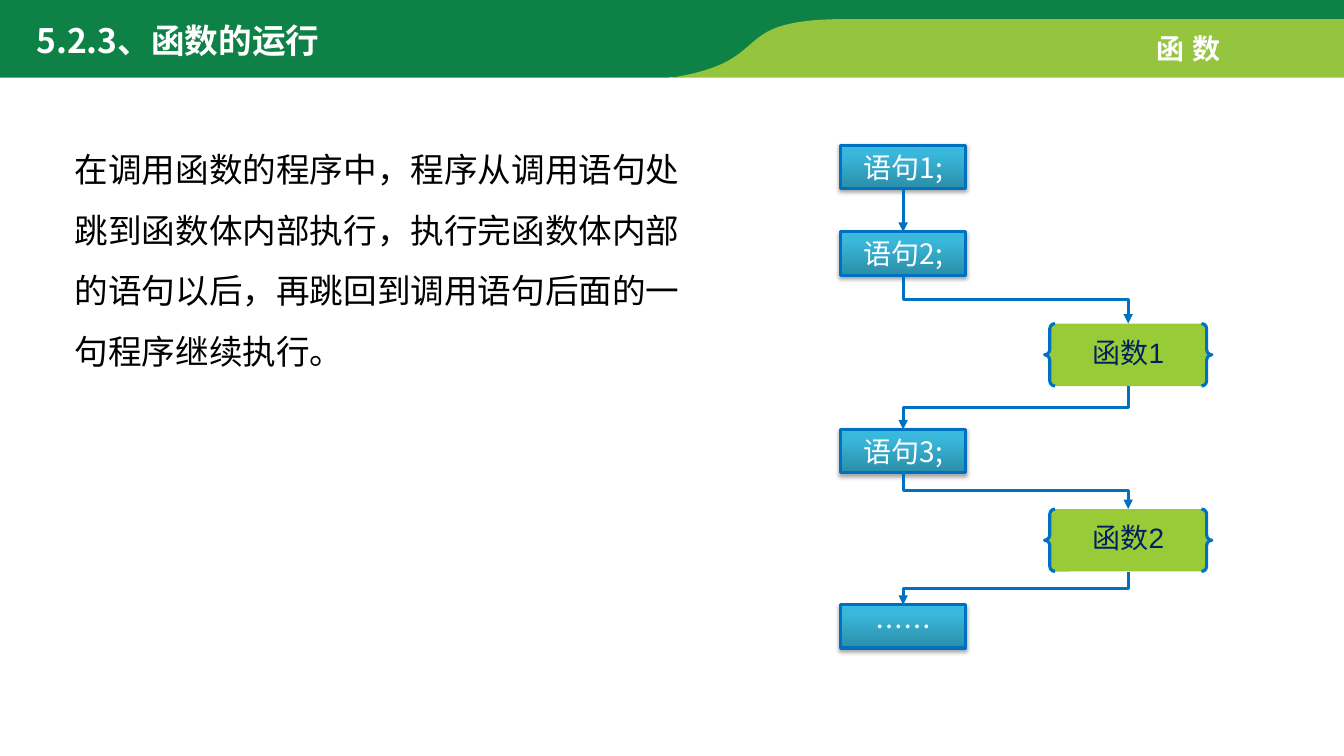
from itertools import pairwise

from lxml import etree
from pptx import Presentation
from pptx import util as u
from pptx.dml.color import RGBColor
from pptx.enum import dml, shapes, text
from pptx.oxml import parse_xml
from pptx.oxml.ns import nsdecls, qn

W, H = u.Inches(13.33), u.Inches(7.5)
SANS = "Noto Sans CJK SC"
COLORS = {
    "dark": "0E8146", "light": "95C53E", "white": "FFFFFF", "black": "000000",
    "blue": "0070C0", "navy": "002060", "lime": "99CB38",
}
GRADIENT = {0: "2C8EA9", 80: "39B8DB", 100: "36BBDF"}
STATEMENT_X, STATEMENT_W, STATEMENT_H = 62.55, 9.3, 5.73
FUNCTION_X, FUNCTION_W, FUNCTION_H = 77.72, 12.45, 8.27


def x(share):
    return u.Emu(round(W * share / 100))


def y(share):
    return u.Emu(round(H * share / 100))


def box(left, top, width, height):
    return x(left), y(top), x(width), y(height)


def rgb(name):
    return RGBColor.from_string(COLORS[name])


def write(sp, words, size=20, font=SANS, color="white", bold=False, align="LEFT",
          anchor="TOP", wrap=True, line_spacing=None, tracking=None):
    tf = sp.text_frame
    tf.word_wrap = wrap
    tf.auto_size = text.MSO_AUTO_SIZE.NONE
    tf.vertical_anchor = text.MSO_ANCHOR[anchor]
    p = tf.paragraphs[0]
    p.alignment = text.PP_ALIGN[align]
    p.space_before = u.Pt(0)
    if line_spacing:
        p.line_spacing = line_spacing
    r = p.add_run()
    r.text = words
    r.font.size, r.font.bold, r.font.name = u.Pt(size), bold, font
    r.font.color.rgb = rgb(color)
    rPr = r.font._element
    etree.SubElement(rPr, qn("a:ea"), typeface=SANS)
    if tracking:
        rPr.set("spc", str(tracking * 100))


def place(sp, left, top, width, height):
    sp.left, sp.top, sp.width, sp.height = box(left, top, width, height)


def remove_bullet(p):
    pPr = p._p.get_or_add_pPr()
    pPr.set("marL", "0")
    pPr.set("indent", "0")
    etree.SubElement(pPr, qn("a:buNone"))


def curve(a, b, c, d, steps=40):
    ts = [i / steps for i in range(steps + 1)]
    return [tuple((1 - t) ** 3 * i + 3 * (1 - t) ** 2 * t * j
                  + 3 * (1 - t) * t ** 2 * k + t ** 3 * m
                  for i, j, k, m in zip(a, b, c, d)) for t in ts]


def add_band(s, points, color):
    start, *rest = [(x(px), y(py)) for px, py in points]
    builder = s.shapes.build_freeform(*start)
    builder.add_line_segments(rest, close=True)
    sp = builder.convert_to_shape()
    sp.shadow.inherit = False
    sp.fill.solid()
    sp.fill.fore_color.rgb = rgb(color)
    sp.line.fill.background()
    s.shapes.title._element.addprevious(sp._element)


def add_node(s, kind, *bounds):
    sp = s.shapes.add_shape(kind, *box(*bounds))
    sp.shadow.inherit = False
    sp.line.color.rgb = rgb("blue")
    sp.line.width = u.Pt(2.25)
    return sp


def add_statement(s, words, top):
    sp = add_node(s, shapes.MSO_SHAPE.RECTANGLE,
                  STATEMENT_X, top, STATEMENT_W, STATEMENT_H)
    sp.fill.gradient()
    sp.fill.gradient_angle = 90
    spPr = sp._element.spPr
    stops = spPr.find(".//" + qn("a:gsLst"))
    for stop in list(stops):
        stops.remove(stop)
    for position, color in GRADIENT.items():
        gs = etree.SubElement(stops, qn("a:gs"), pos=str(position * 1000))
        etree.SubElement(gs, qn("a:srgbClr"), val=color)
    spPr.find(qn("a:effectLst")).append(parse_xml(
        f'<a:outerShdw {nsdecls("a")} blurRad="{u.Pt(3.1)}" dist="{u.Pt(1.8)}"'
        ' dir="5400000" rotWithShape="0"><a:srgbClr val="000000">'
        '<a:alpha val="35000"/></a:srgbClr></a:outerShdw>'))
    write(sp, words, align="CENTER", anchor="MIDDLE")
    return sp


def add_function(s, words, top):
    sp = add_node(s, shapes.MSO_SHAPE.DOUBLE_BRACE,
                  FUNCTION_X, top, FUNCTION_W, FUNCTION_H)
    sp.fill.solid()
    sp.fill.fore_color.rgb = rgb("lime")
    write(sp, words, font="Arial", color="navy", align="CENTER")
    return sp


def turn_elbow(cxn, x1, y1, x2, y2):
    run, drop = abs(x2 - x1), y2 - y1
    cxn.left, cxn.top = (x1 + x2 - drop) // 2, (y1 + y2 - run) // 2
    cxn.width, cxn.height = drop, run
    xfrm = cxn._element.spPr.find(qn("a:xfrm"))
    rightward = x2 > x1
    xfrm.set("rot", str((270 if rightward else 90) * 60000))
    xfrm.set("flipH", "1" if rightward else "0")
    xfrm.set("flipV", "0")


def add_arrow(s, source, target):
    x1, y1 = source.left + source.width // 2, source.top + source.height
    x2, y2 = target.left + target.width // 2, target.top
    straight = x1 == x2
    kind = shapes.MSO_CONNECTOR.STRAIGHT if straight else shapes.MSO_CONNECTOR.ELBOW
    cxn = s.shapes.add_connector(kind, x1, y1, x2, y2)
    cxn.begin_connect(source, 2)
    cxn.end_connect(target, 0)
    if not straight:
        turn_elbow(cxn, x1, y1, x2, y2)
    cxn.line.color.rgb = rgb("blue")
    cxn.line.width = u.Pt(2.25)
    cxn.line.dash_style = dml.MSO_LINE.SOLID
    etree.SubElement(cxn.line._get_or_add_ln(), qn("a:tailEnd"), type="triangle")
    etree.SubElement(cxn._element.spPr, qn("a:effectLst"))


def main():
    prs = Presentation()
    prs.slide_width, prs.slide_height = W, H
    s = prs.slides.add_slide(prs.slide_layouts[1])
    title, body = s.shapes.title, s.placeholders[1]

    add_band(s, [(0, 0), (100, 0), (100, 3.2), (62.04, 3.2),
                 *curve((60.69, 3.73), (54.54, 5.87), (57.76, 10.27), (49.14, 10.27)),
                 (0, 10.27)], "dark")
    add_band(s, [(100, 2.53), (100, 10.27),
                 *curve((50, 10.27), (57.99, 8), (53.79, 2.53), (62.94, 2.53))], "light")

    place(title, 1.95, 2, 28.28, 6.67)
    write(title, "5.2.3、函数的运行", size=24, bold=True)
    chapter = s.shapes.add_textbox(*box(85.3, 3.47, 6.98, 5.87))
    write(chapter, "函数", font="Arial", bold=True, wrap=False, tracking=6)

    place(body, 4.8, 16.4, 46.59, 32.4)
    remove_bullet(body.text_frame.paragraphs[0])
    write(body, "在调用函数的程序中，程序从调用语句处跳到函数体内部执行，"
          "执行完函数体内部的语句以后，再跳回到调用语句后面的一句程序继续执行。",
          size=24, color="black", line_spacing=1.5)

    flow = [
        add_statement(s, "语句1;", 19.2),
        add_statement(s, "语句2;", 30.67),
        add_function(s, "函数1", 42.8),
        add_statement(s, "语句3;", 56.8),
        add_function(s, "函数2", 67.33),
        add_statement(s, "……", 80),
    ]
    for source, target in pairwise(flow):
        add_arrow(s, source, target)

    prs.save("out.pptx")


if __name__ == "__main__":
    main()
